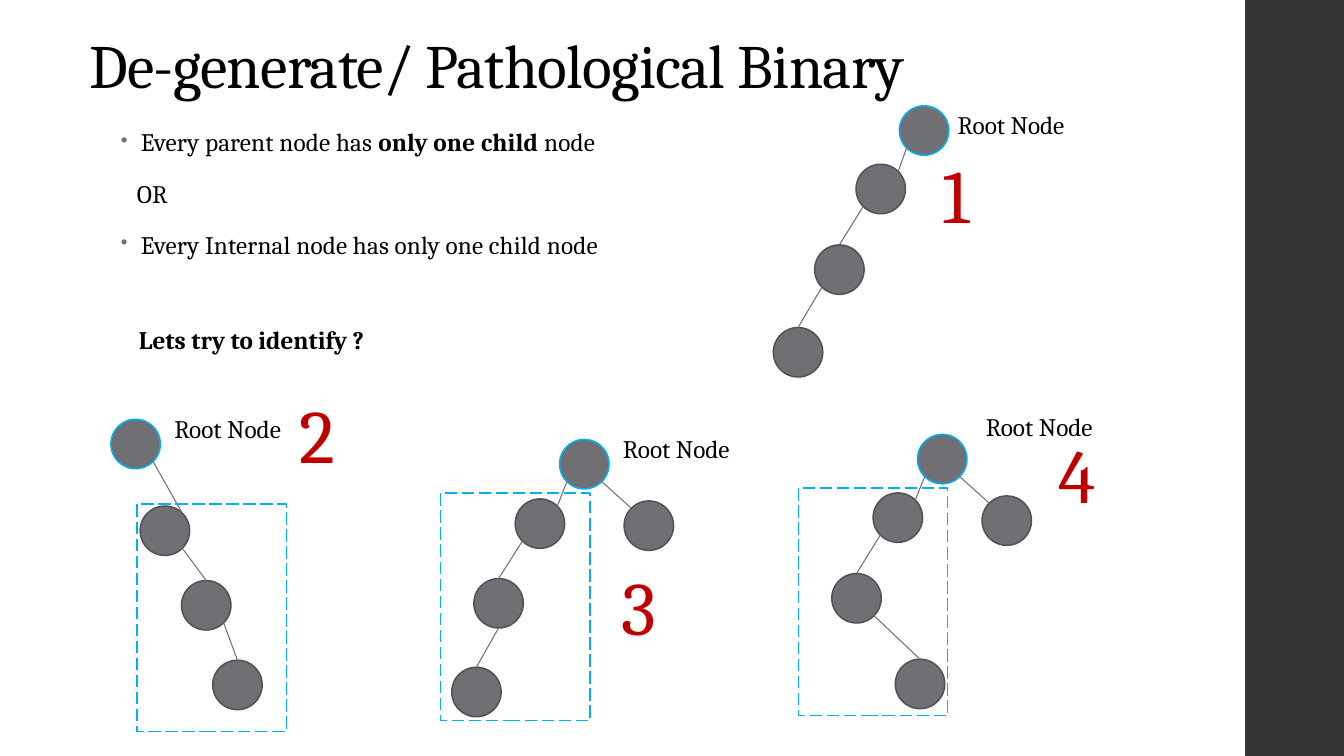
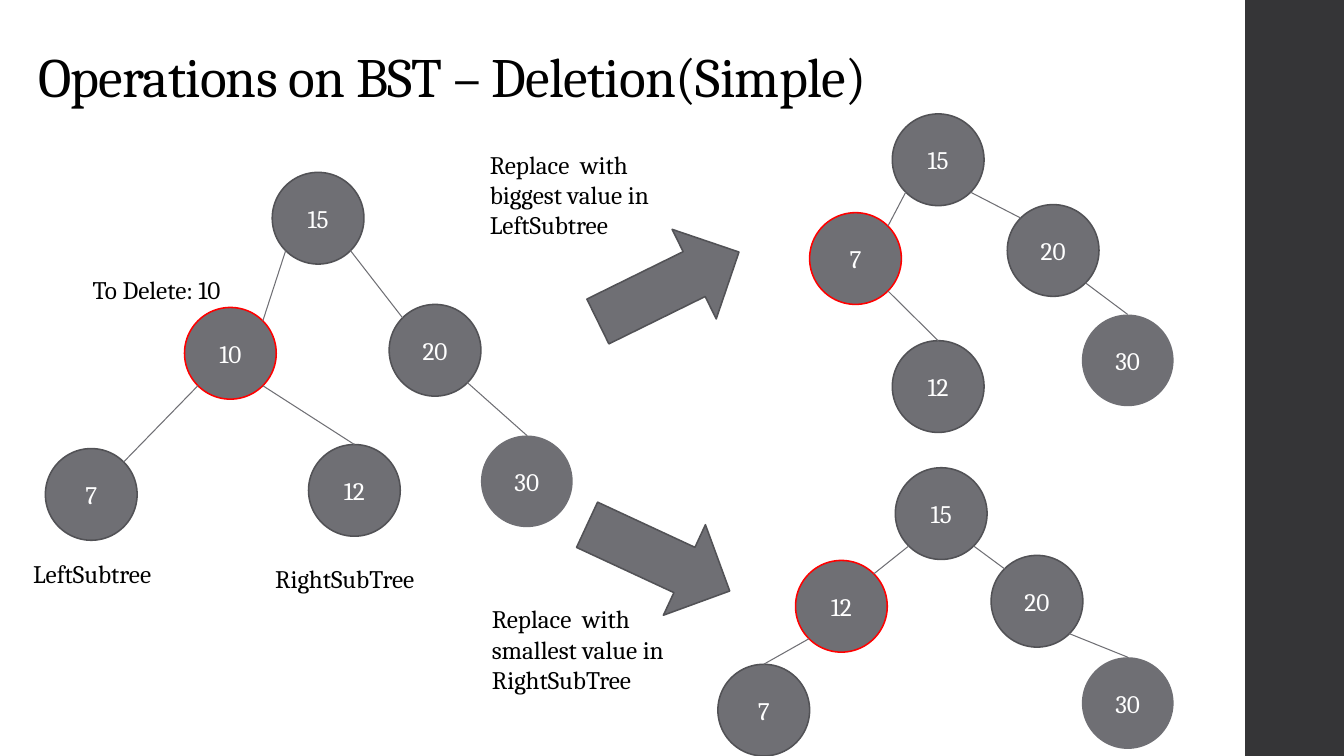
from lxml.etree import SubElement
from pptx import Presentation
from pptx.dml.color import RGBColor
from pptx.enum.dml import MSO_LINE
from pptx.enum.shapes import MSO_CONNECTOR, MSO_SHAPE
from pptx.enum.text import MSO_ANCHOR, PP_ALIGN
from pptx.oxml.ns import qn
from pptx.util import Inches, Pt

FONT = "Cambria"
COLORS = {
    "text": "000000", "white": "FFFFFF", "band": "353537", "node": "6F6F74",
    "edge": "525256", "root": "00B0F0", "changed": "FF0000", "number": "C00000",
}
DIAGONAL = 0.5 ** 0.5
# Points on a circle where edges attach, as multiples of its radius
SITES = {
    "top": (0, -1), "bottom": (0, 1),
    "top left": (-DIAGONAL, -DIAGONAL), "top right": (DIAGONAL, -DIAGONAL),
    "bottom left": (-DIAGONAL, DIAGONAL), "bottom right": (DIAGONAL, DIAGONAL),
}


def rgb(name):
    return RGBColor.from_string(COLORS[name])


class Deck:
    def __init__(self):
        self.presentation = Presentation()
        self.presentation.slide_width = Inches(13.33)
        self.presentation.slide_height = Inches(7.5)
        self.slide = None

    def add_slide(self, title, left, top, size):
        self.slide = self.presentation.slides.add_slide(self.presentation.slide_layouts[6])
        self.shape(MSO_SHAPE.RECTANGLE, (12.35, 0, 0.98, 7.5), "band")
        box = self.text(title, (left, top, 10.6, 0.86), size)
        box.text_frame.vertical_anchor = MSO_ANCHOR.BOTTOM
        paragraph = box.text_frame.paragraphs[0]
        paragraph.line_spacing = 0.9
        self.track(paragraph, -50)

    def style(self, paragraph, size, color="text", bold=False):
        for run in paragraph.runs:
            run.font.name = FONT
            run.font.size = Pt(size)
            run.font.bold = bold
            run.font.color.rgb = rgb(color)

    def track(self, paragraph, spacing):
        """Set letter spacing in hundredths of a point."""
        for run in paragraph.runs:
            run.font._element.set("spc", str(spacing))

    def text(self, text, place, size=18, color="text", bold=False, align=PP_ALIGN.LEFT):
        box = self.slide.shapes.add_textbox(*map(Inches, place))
        box.text_frame.word_wrap = True
        box.text_frame.text = text
        paragraph = box.text_frame.paragraphs[0]
        paragraph.alignment = align
        self.style(paragraph, size, color, bold)
        return box

    def bullets(self, place, items):
        """Write (bulleted, [(text, bold), ...]) items as paragraphs."""
        box = self.slide.shapes.add_textbox(*map(Inches, place))
        frame = box.text_frame
        frame.word_wrap = True
        for index, (bulleted, parts) in enumerate(items):
            paragraph = frame.add_paragraph() if index else frame.paragraphs[0]
            properties = paragraph._p.get_or_add_pPr()
            properties.set("marL", str(Inches(0.2 if bulleted else 0.16)))
            if bulleted:
                properties.set("indent", str(Inches(-0.2)))
                color = SubElement(properties, qn("a:buClr"))
                SubElement(color, qn("a:srgbClr"), val=COLORS["node"])
                SubElement(properties, qn("a:buSzPct"), val="80000")
                SubElement(properties, qn("a:buChar"), char="•")
            paragraph.line_spacing = 0.95
            paragraph.space_before = Pt(14 if index else 0)
            paragraph.space_after = Pt(2)
            for text, _ in parts:
                paragraph.add_run().text = text
            self.style(paragraph, 18)
            self.track(paragraph, 10)
            for run, (_, bold) in zip(paragraph.runs, parts):
                run.font.bold = bold

    def shape(self, kind, place, fill=None, line=None, rotation=0, shapes=None):
        shapes = self.slide.shapes if shapes is None else shapes
        shape = shapes.add_shape(kind, *map(Inches, place))
        shape.shadow.inherit = False
        shape.rotation = rotation
        if fill:
            shape.fill.solid()
            shape.fill.fore_color.rgb = rgb(fill)
        else:
            shape.fill.background()
        if line:
            shape.line.color.rgb = rgb(line)
            shape.line.width = Pt(1.1)
        else:
            shape.line.fill.background()
        return shape

    def dashed_frame(self, left, top):
        frame = self.shape(MSO_SHAPE.RECTANGLE, (left, top, 1.48, 2.26), line="root")
        frame.line.dash_style = MSO_LINE.LONG_DASH

    def arrow(self, left, top, rotation):
        self.shape(MSO_SHAPE.RIGHT_ARROW, (left, top, 1.56, 0.99), "node", "edge", rotation)

    def tree(self, size, nodes, edges):
        """Group circles {key: (left, top, outline, label)} with edges (key, site, key, site)."""
        shapes = self.slide.shapes.add_group_shape().shapes

        def point(key, site):
            return [Inches(start + size / 2 * (1 + offset))
                    for start, offset in zip(nodes[key][:2], SITES[site])]

        for left, top, outline, label in nodes.values():
            node = self.shape(MSO_SHAPE.OVAL, (left, top, size, size), "node", outline,
                              shapes=shapes)
            if label:
                node.text_frame.text = label
                node.text_frame.vertical_anchor = MSO_ANCHOR.MIDDLE
                paragraph = node.text_frame.paragraphs[0]
                paragraph.alignment = PP_ALIGN.CENTER
                self.style(paragraph, 18, "white")
        for parent, start, child, end in edges:
            edge = shapes.add_connector(MSO_CONNECTOR.STRAIGHT,
                                        *point(parent, start), *point(child, end))
            edge.line.color.rgb = rgb("node")
            edge.line.width = Pt(0.75)
            SubElement(edge._element.spPr, qn("a:effectLst"))

    def plain_tree(self, number, number_at, label_at, positions, edges):
        """Draw a numbered tree of unlabelled nodes, the root first."""
        nodes = {index: (*position, "edge" if index else "root", "")
                 for index, position in enumerate(positions)}
        self.tree(0.49, nodes, edges)
        self.text("Root Node", (*label_at, 1.41, 0.4))
        self.text(number, (*number_at, 0.62, 1.01), 54, "number", align=PP_ALIGN.CENTER)

    def value_tree(self, positions, changed, edges):
        """Draw a tree of values, the changed one outlined in red."""
        outlines = {changed: "changed", "30": None}
        nodes = {value: (*position, outlines.get(value, "edge"), value)
                 for value, position in positions.items()}
        shared_edges = [("15", "bottom left", changed, "top right"),
                        ("15", "bottom right", "20", "top left"),
                        ("20", "bottom right", "30", "top")]
        self.tree(0.91, nodes, shared_edges + edges)


def degenerate_slide(deck):
    deck.add_slide("De-generate/ Pathological Binary", 0.79, 0.2, 44)
    deck.bullets((1.1, 1.23, 6.4, 1.6), [
        (True, [("Every parent node has ", False), ("only one child ", True), ("node", False)]),
        (False, [("OR", False)]),
        (True, [("Every Internal node has only one child node", False)]),
    ])
    deck.text("Lets try to identify ?", (1.28, 3.17, 2.86, 0.4), bold=True)

    left_start = [(0, "bottom left", 1, "top right"), (1, "bottom left", 2, "top")]
    right_leaf = [(0, "bottom right", 4, "top left")]
    deck.plain_tree("1", (9.17, 1.42), (9.4, 1.04),
                    [(8.92, 1.05), (8.49, 1.63), (8.08, 2.43), (7.67, 3.25)],
                    left_start + [(2, "bottom left", 3, "top")])
    deck.plain_tree("2", (2.84, 3.8), (1.63, 4.05),
                    [(1.1, 4.16), (1.39, 5.02), (1.8, 5.76), (2.11, 6.55)],
                    [(0, "bottom right", 1, "top right"), (1, "bottom right", 2, "top"),
                     (2, "bottom right", 3, "top")])
    deck.plain_tree("3", (6.03, 5.51), (6.08, 4.25),
                    [(5.55, 4.36), (5.11, 4.95), (4.7, 5.74), (4.48, 6.62), (6.19, 4.97)],
                    left_start + [(2, "bottom", 3, "top")] + right_leaf)
    deck.plain_tree("4", (10.37, 4.2), (9.68, 4.03),
                    [(9.1, 4.31), (8.66, 4.89), (8.25, 5.69), (8.88, 6.54), (9.74, 4.92)],
                    left_start + [(2, "bottom right", 3, "top")] + right_leaf)
    for left, top in [(1.36, 5), (4.37, 4.89), (7.92, 4.84)]:
        deck.dashed_frame(left, top)


def deletion_slide(deck):
    deck.add_slide("Operations on BST – Deletion(Simple)", 0.28, 0.28, 39.6)
    deck.value_tree({"15": (2.7, 1.71), "10": (1.83, 3.05), "20": (3.86, 3.02),
                     "30": (4.77, 4.32), "7": (0.45, 4.45), "12": (3.06, 4.41)}, "10",
                    [("10", "bottom left", "7", "top right"),
                     ("10", "bottom right", "12", "top")])
    deck.value_tree({"15": (8.85, 1.13), "7": (8.03, 2.11), "20": (9.99, 2.03),
                     "30": (10.73, 3.12), "12": (8.85, 3.38)}, "7",
                    [("7", "bottom right", "12", "top")])
    deck.value_tree({"15": (8.88, 4.64), "12": (7.89, 5.56), "20": (9.83, 5.51),
                     "30": (10.73, 6.52), "7": (7.12, 6.59)}, "12",
                    [("12", "bottom left", "7", "top")])
    deck.arrow(5.85, 2.35, 333.8)
    deck.arrow(5.75, 5.04, 24.9)
    for text, place in [
        ("To Delete: 10", (0.82, 2.67, 1.81, 0.4)),
        ("LeftSubtree", (0.23, 5.49, 1.6, 0.4)),
        ("RightSubTree", (2.63, 5.54, 1.85, 0.4)),
        ("Replace  with biggest value in LeftSubtree", (4.76, 1.43, 1.92, 1.01)),
        ("Replace  with smallest value in RightSubTree", (4.78, 5.94, 2.04, 1.01)),
    ]:
        deck.text(text, place)


def main():
    deck = Deck()
    degenerate_slide(deck)
    deletion_slide(deck)
    deck.presentation.save("out.pptx")


if __name__ == "__main__":
    main()
